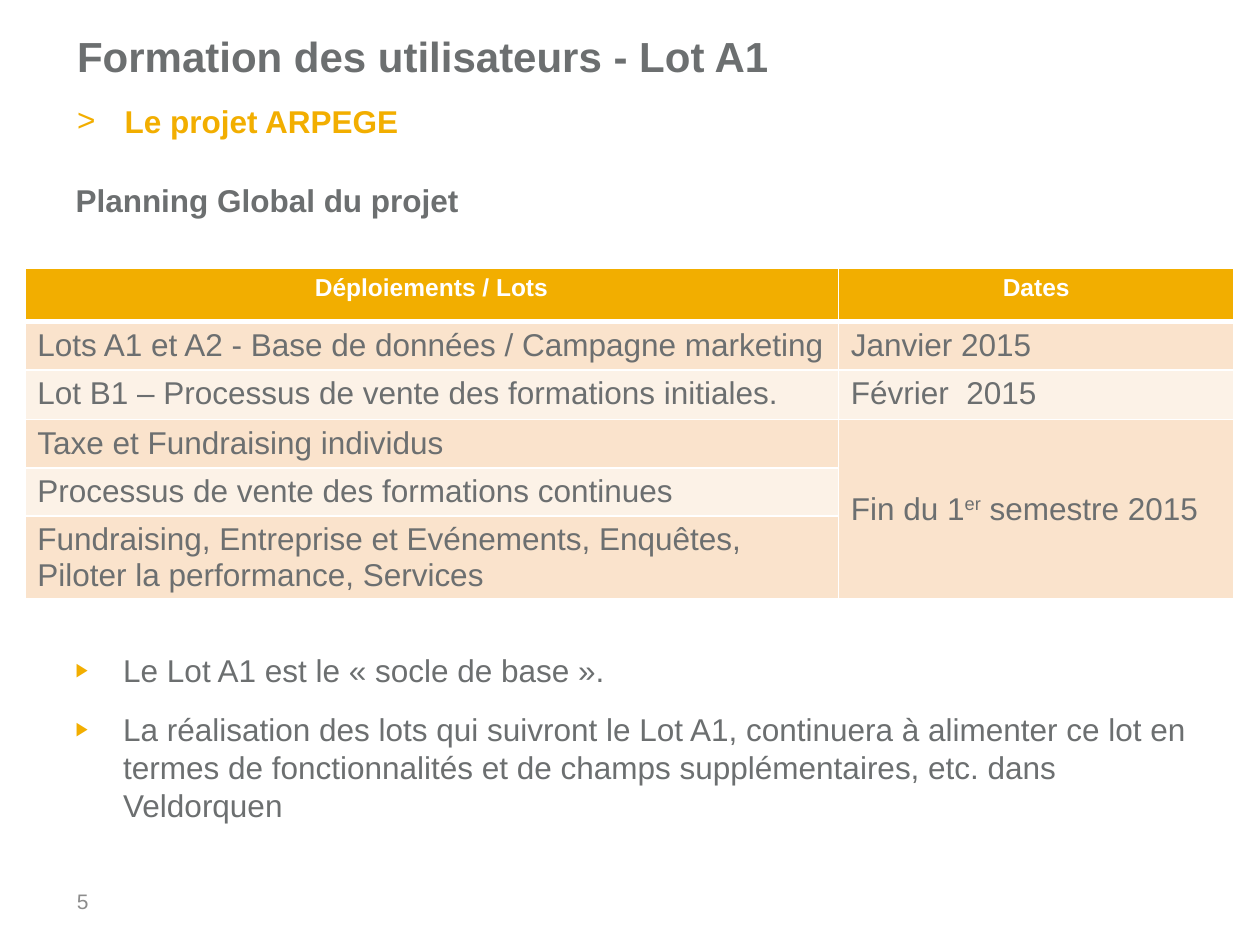
from lxml import etree
from pptx import Presentation
from pptx.dml.color import RGBColor
from pptx.enum.text import MSO_ANCHOR, MSO_AUTO_SIZE, PP_ALIGN
from pptx.oxml.ns import qn
from pptx.util import Cm, Pt

LEFT, CENTER = PP_ALIGN.LEFT, PP_ALIGN.CENTER
TOP, MIDDLE = MSO_ANCHOR.TOP, MSO_ANCHOR.MIDDLE
NO_AUTOFIT = MSO_AUTO_SIZE.NONE

GOLD = RGBColor(0xF2, 0xAE, 0x00)
GREY = RGBColor(0x6C, 0x6F, 0x70)
LIGHT_GREY = RGBColor(0x8C, 0x8C, 0x8C)
WHITE = RGBColor(0xFF, 0xFF, 0xFF)
PEACH = RGBColor(0xFA, 0xE3, 0xCC)
CREAM = RGBColor(0xFC, 0xF2, 0xE7)


def format_paragraph(paragraph, size, color, bold=False, align=LEFT):
    paragraph.alignment = align
    for run in paragraph.runs:
        font_format = {"name": "Arial", "size": Pt(size), "bold": bold}
        for name, value in font_format.items():
            setattr(run.font, name, value)
        run.font.color.rgb = color


def set_bullet(paragraph, character=None, percent=100):
    properties = paragraph._p.get_or_add_pPr()
    indent = Cm(0.96) if character else 0
    properties.set("marL", str(indent))
    properties.set("indent", str(-indent))
    if character is None:
        etree.SubElement(properties, qn("a:buNone"))
        return
    bullet_color = etree.SubElement(properties, qn("a:buClr"))
    etree.SubElement(bullet_color, qn("a:srgbClr"), val=str(GOLD))
    etree.SubElement(properties, qn("a:buSzPct"), val=str(percent * 1000))
    etree.SubElement(properties, qn("a:buFont"), typeface="Arial")
    etree.SubElement(properties, qn("a:buChar"), char=character)


presentation = Presentation()
presentation.slide_width = Cm(25.4)
presentation.slide_height = Cm(19.05)
slide = presentation.slides.add_slide(presentation.slide_layouts[3])
title, body, subtitle = slide.placeholders
number = slide.shapes.add_textbox(0, 0, 0, 0)

boxes = [
    (title, (1.3, 0.33, 19.4, 1.6), MIDDLE),
    (body, (1.27, 3.53, 23.6, 13.2), TOP),
    (subtitle, (1.3, 1.93, 19.4, 1.4), TOP),
    (number, (1.3, 17.65, 1.52, 1.02), MIDDLE),
]
for shape, place, anchor in boxes:
    for name, value in zip(("left", "top", "width", "height"), place):
        setattr(shape, name, Cm(value))
    frame_format = {"word_wrap": True, "auto_size": NO_AUTOFIT, "vertical_anchor": anchor}
    for name, value in frame_format.items():
        setattr(shape.text_frame, name, value)

title.text_frame.text = "Formation des utilisateurs - Lot A1"
format_paragraph(title.text_frame.paragraphs[0], 24, GREY, bold=True)

subtitle.fill.solid()
subtitle.fill.fore_color.rgb = WHITE
subtitle.text_frame.text = "Le projet ARPEGE"
paragraph = subtitle.text_frame.paragraphs[0]
paragraph.space_before = Pt(6)
format_paragraph(paragraph, 18, GOLD, bold=True)
set_bullet(paragraph, ">")

number.text_frame.text = "5"
format_paragraph(number.text_frame.paragraphs[0], 12, LIGHT_GREY)

body_lines = [
    ("Planning Global du projet", 12, None),
    ("Le Lot A1 est le « socle de base ».", 247, "▶"),
    (
        "La réalisation des lots qui suivront le Lot A1, continuera à alimenter ce lot en "
        "termes de fonctionnalités et de champs supplémentaires, etc. dans Veldorquen",
        12,
        "▶",
    ),
]
body.text_frame.text = "\n".join(text for text, space, bullet in body_lines)
for paragraph, (text, space, bullet) in zip(body.text_frame.paragraphs, body_lines):
    paragraph.space_before = Pt(space)
    paragraph.line_spacing = 1.0
    format_paragraph(paragraph, 18, GREY, bold=bullet is None)
    set_bullet(paragraph, bullet, 60)

planning = [
    ("Déploiements / Lots", "Dates"),
    ("Lots A1 et A2 - Base de données / Campagne marketing", "Janvier 2015"),
    ("Lot B1 – Processus de vente des formations initiales.", "Février  2015"),
    ("Taxe et Fundraising individus", "Fin du 1"),
    ("Processus de vente des formations continues", ""),
    ("Fundraising, Entreprise et Evénements, Enquêtes, Piloter la performance, Services", ""),
]
row_heights = [1.07, 0.98, 1.0, 0.97, 0.97, 1.67]
table = slide.shapes.add_table(
    len(planning), 2, Cm(0.5), Cm(5.41), Cm(24.38), Cm(sum(row_heights))
).table
for column, width in zip(table.columns, (16.4, 7.98)):
    column.width = Cm(width)
for row, height in zip(table.rows, row_heights):
    row.height = Cm(height)

for row_index, texts in enumerate(planning):
    header = row_index == 0
    for column_index, text in enumerate(texts):
        cell = table.cell(row_index, column_index)
        cell.text = text
        paragraph = cell.text_frame.paragraphs[0]
        if text == "Fin du 1":
            cell.vertical_anchor = MIDDLE
            paragraph.add_run().text = "er"
            paragraph.add_run().text = " semestre 2015"
            paragraph.runs[1].font._element.set("baseline", "30000")
        if header:
            format_paragraph(paragraph, 14, WHITE, bold=True, align=CENTER)
        else:
            format_paragraph(paragraph, 18, GREY)
        cell_properties = cell._tc.get_or_add_tcPr()
        for side in "LRTB":
            thick = (row_index, side) in ((0, "B"), (1, "T"))
            border = etree.SubElement(
                cell_properties, qn(f"a:ln{side}"), w=str(Pt(3 if thick else 1))
            )
            border_fill = etree.SubElement(border, qn("a:solidFill"))
            etree.SubElement(border_fill, qn("a:srgbClr"), val=str(WHITE))
        cell.fill.solid()
        cell.fill.fore_color.rgb = GOLD if header else (CREAM, PEACH)[row_index % 2]
table.cell(3, 1).merge(table.cell(5, 1))

presentation.save("out.pptx")
